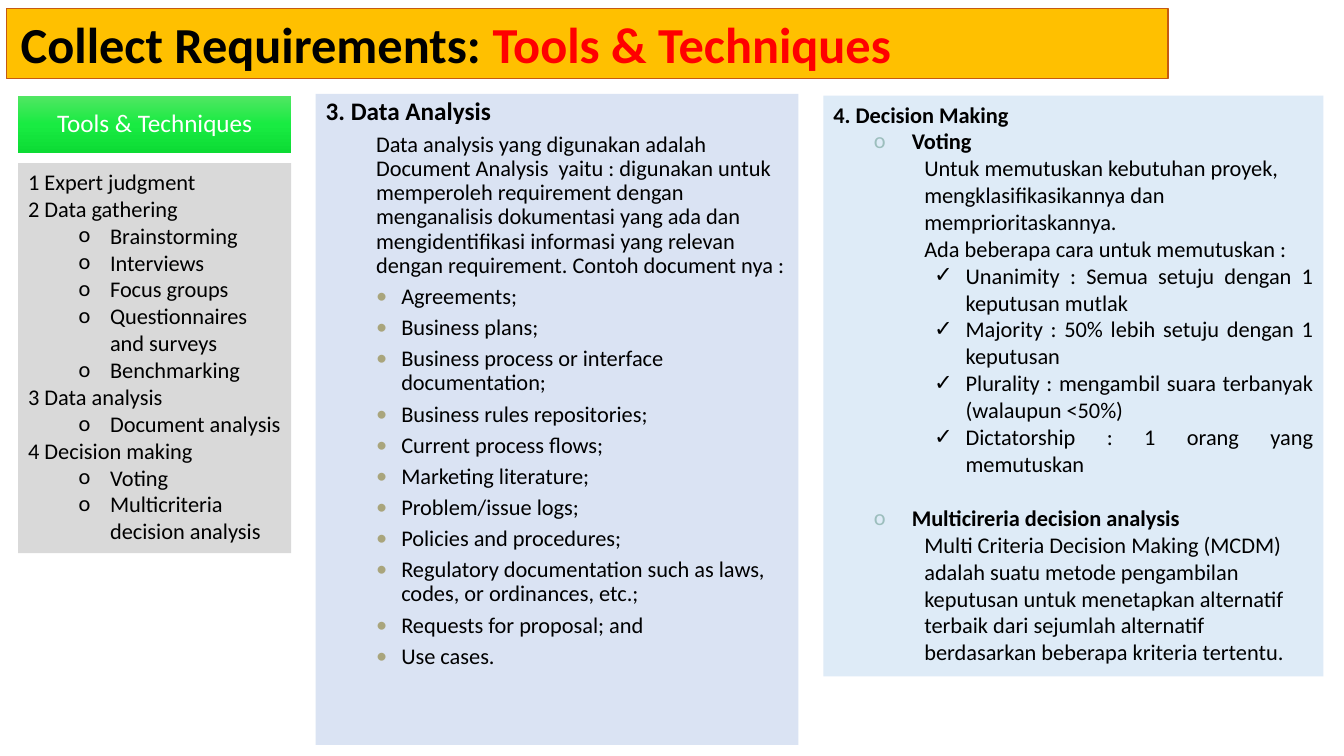
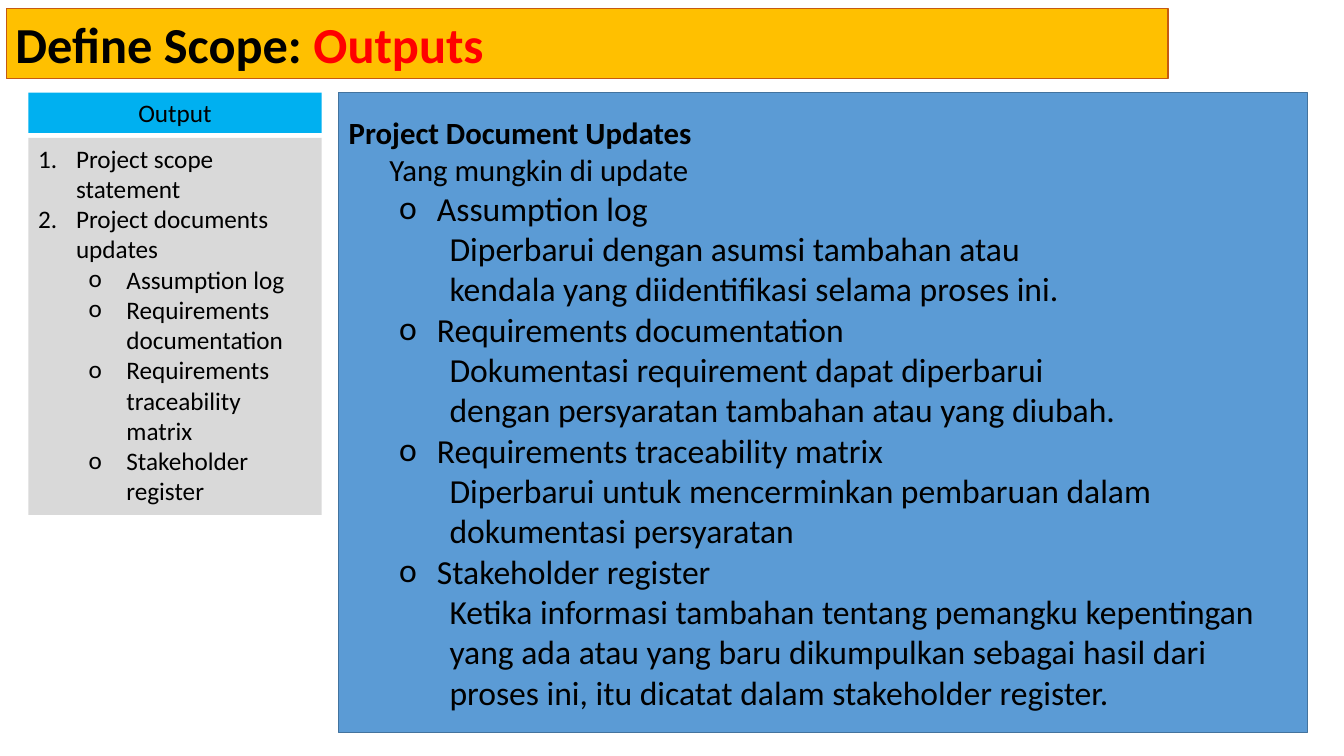
from dataclasses import asdict, dataclass, replace
from typing import Any, Optional

import copy
import lxml.etree
import pptx
import pptx.dml.color
import pptx.enum.shapes
import pptx.enum.text
import pptx.oxml.ns
import pptx.util

Align = pptx.enum.text.PP_ALIGN
Anchor = pptx.enum.text.MSO_ANCHOR


# Shared theme
@dataclass(frozen=True)
class Theme:
    font: str = "Calibri"
    black: str = "000000"
    white: str = "FFFFFF"
    accent: str = "FF0000"
    title_fill: str = "FFC000"
    title_line: str = "C55A11"
    green: tuple = ("51E663", "19EB42", "0CDB34")
    cyan: str = "00B0F0"
    gray: str = "D9D9D9"
    lavender: str = "DAE3F3"
    pale_blue: str = "DEEBF7"
    blue: str = "5B9BD5"
    blue_line: str = "43739E"
    olive_bullet: str = "A9A57C"
    teal_bullet: str = "9CBEBD"
    title_size: float = 36
    large_size: float = 24
    lead_size: float = 22
    medium_size: float = 18
    small_size: float = 16


THEME = Theme()


@dataclass(frozen=True)
class TextFormat:
    size: float = THEME.small_size
    color: str = THEME.black
    bold: bool = False
    align: Any = Align.LEFT
    level: int = 0
    left: float = 0
    hanging: float = 0
    bullet: Optional[str] = None
    bullet_color: Optional[str] = None
    before: float = 0
    spacing: float = 1


@dataclass(frozen=True)
class Line:
    text: str
    format: TextFormat


@dataclass(frozen=True)
class Panel:
    left: float
    top: float
    width: float
    height: float
    fill: Any
    lines: list[Line]
    outline: Optional[str] = None
    outline_width: float = 1
    anchor: Any = Anchor.TOP
    margin_left: float = 7.2
    placeholder: Optional[int] = None


@dataclass(frozen=True)
class SlideContent:
    topic: str
    section: str
    title_margin: float
    panels: list[Panel]


NUMBERED = "1."

# Text formats
PLAIN = TextFormat()
HEADING = replace(PLAIN, bold=True)
HEADER = TextFormat(size=THEME.medium_size, align=Align.CENTER)
SUB_ITEM = TextFormat(level=1, left=58.5, hanging=22.5, bullet="o")

DATA_HEADING = TextFormat(size=THEME.medium_size, bold=True, spacing=0.9)
DATA_TEXT = TextFormat(level=1, left=36, before=5, spacing=0.9)
DATA_ITEM = replace(DATA_TEXT, left=54, hanging=18, bullet="•", bullet_color=THEME.olive_bullet)

METHOD = TextFormat(bold=True, level=1, left=56, hanging=27, bullet="o", bullet_color=THEME.teal_bullet)
METHOD_TEXT = TextFormat(level=2, left=65)
METHOD_CHECK = TextFormat(align=Align.JUSTIFY, level=2, left=94.5, hanging=22.5, bullet="✓")

NUMBER_ITEM = TextFormat(size=THEME.medium_size, left=27, hanging=27, bullet=NUMBERED)
OUTPUT_ITEM = replace(NUMBER_ITEM, level=1, left=63, bullet="o")
UPDATE_ITEM = replace(OUTPUT_ITEM, size=THEME.large_size)
UPDATE_TEXT = TextFormat(size=THEME.large_size, level=2, left=72)
UPDATE_LEAD = TextFormat(size=THEME.lead_size, align=Align.JUSTIFY)


def rgb(color: str) -> pptx.dml.color.RGBColor:
    return pptx.dml.color.RGBColor.from_string(color)


def lines(format: TextFormat, *texts: str) -> list[Line]:
    return [Line(text, format) for text in texts]


# Slide content
SLIDES = [
    SlideContent("Collect Requirements: ", "Tools & Techniques", 10.5, [
        Panel(13, 68.4, 195, 41, THEME.green,
              lines(replace(HEADER, color=THEME.white, spacing=0.9), "Tools & Techniques"),
              anchor=Anchor.MIDDLE),
        Panel(13, 116.6, 195, 278.6, THEME.gray, [
            *lines(PLAIN, "1 Expert judgment", "2 Data gathering"),
            *lines(SUB_ITEM, "Brainstorming", "Interviews", "Focus groups",
                   "Questionnaires and surveys", "Benchmarking"),
            *lines(PLAIN, "3 Data analysis"),
            *lines(SUB_ITEM, "Document analysis"),
            *lines(PLAIN, "4 Decision making"),
            *lines(SUB_ITEM, "Voting", "Multicriteria decision analysis"),
        ]),
        Panel(225.4, 67, 344.9, 465.1, THEME.lavender, [
            *lines(DATA_HEADING, "3. Data Analysis"),
            *lines(DATA_TEXT,
                   "Data analysis yang digunakan adalah Document Analysis  yaitu : digunakan untuk "
                   "memperoleh requirement dengan menganalisis dokumentasi yang ada dan "
                   "mengidentifikasi informasi yang relevan dengan requirement. "
                   "Contoh document nya :"),
            *lines(DATA_ITEM, "Agreements;", "Business plans;",
                   "Business process or interface documentation;",
                   "Business rules repositories;", "Current process flows;",
                   "Marketing literature;", "Problem/issue logs;", "Policies and procedures;",
                   "Regulatory documentation such as laws, codes, or ordinances, etc.;",
                   "Requests for proposal; and", "Use cases."),
        ], placeholder=1),
        Panel(588.2, 68.4, 357.1, 414.7, THEME.pale_blue, [
            *lines(HEADING, "4. Decision Making"),
            *lines(METHOD, "Voting"),
            *lines(METHOD_TEXT,
                   "Untuk memutuskan kebutuhan proyek, mengklasifikasikannya dan "
                   "memprioritaskannya."),
            *lines(replace(METHOD_TEXT, align=Align.JUSTIFY),
                   "Ada beberapa cara untuk memutuskan :"),
            *lines(METHOD_CHECK,
                   "Unanimity : Semua setuju dengan 1 keputusan mutlak",
                   "Majority : 50% lebih setuju dengan 1 keputusan",
                   "Plurality : mengambil suara terbanyak (walaupun <50%)",
                   "Dictatorship : 1 orang yang memutuskan"),
            *lines(replace(METHOD, before=19.5), "Multicireria decision analysis"),
            *lines(METHOD_TEXT,
                   "Multi Criteria Decision Making (MCDM) adalah suatu metode pengambilan "
                   "keputusan untuk menetapkan alternatif terbaik dari sejumlah alternatif "
                   "berdasarkan beberapa kriteria tertentu."),
        ]),
    ]),
    SlideContent("Define Scope: ", "Outputs", 6.75, [
        Panel(241.9, 66.2, 691.9, 457.2, THEME.blue, [
            *lines(replace(UPDATE_LEAD, bold=True), "Project Document Updates"),
            *lines(replace(UPDATE_LEAD, level=1, left=29), "Yang mungkin di update"),
            *lines(UPDATE_ITEM, "Assumption log"),
            *lines(UPDATE_TEXT, "Diperbarui dengan asumsi tambahan atau",
                   "kendala yang diidentifikasi selama proses ini."),
            *lines(UPDATE_ITEM, "Requirements documentation"),
            *lines(UPDATE_TEXT, "Dokumentasi requirement dapat diperbarui",
                   "dengan persyaratan tambahan atau yang diubah."),
            *lines(UPDATE_ITEM, "Requirements traceability matrix"),
            *lines(UPDATE_TEXT,
                   "Diperbarui untuk mencerminkan pembaruan dalam dokumentasi persyaratan"),
            *lines(UPDATE_ITEM, "Stakeholder register"),
            *lines(UPDATE_TEXT,
                   "Ketika informasi tambahan tentang pemangku kepentingan yang ada atau yang "
                   "baru dikumpulkan sebagai hasil dari proses ini, itu dicatat dalam "
                   "stakeholder register."),
        ], outline=THEME.blue_line, anchor=Anchor.MIDDLE, placeholder=1),
        Panel(20.2, 66.2, 209.5, 28.8, THEME.cyan, lines(HEADER, "Output")),
        Panel(20.2, 98.6, 209.5, 269.3, THEME.gray, [
            *lines(NUMBER_ITEM, "Project scope statement", "Project documents updates"),
            *lines(OUTPUT_ITEM, "Assumption log", "Requirements documentation",
                   "Requirements traceability matrix", "Stakeholder register"),
        ]),
    ]),
]


# Drawing functions
def set_bullet(paragraph: Any, left: float, hanging: float,
               bullet: Optional[str], color: Optional[str]) -> None:
    properties = paragraph._p.get_or_add_pPr()
    properties.set("marL", str(pptx.util.Pt(left)))
    properties.set("indent", str(-pptx.util.Pt(hanging)))

    def add(parent: Any, tag: str, **attributes: str) -> Any:
        return lxml.etree.SubElement(parent, pptx.oxml.ns.qn(tag), attributes)

    if bullet is None:
        add(properties, "a:buNone")
        return
    if color:
        add(add(properties, "a:buClr"), "a:srgbClr", val=color)
    add(properties, "a:buFont", typeface=THEME.font)
    if bullet == NUMBERED:
        add(properties, "a:buAutoNum", type="arabicPeriod")
    else:
        add(properties, "a:buChar", char=bullet)


def write(text_frame: Any, text: str, *, size: float, color: str, bold: bool, align: Any,
          level: int, left: float, hanging: float, bullet: Optional[str],
          bullet_color: Optional[str], before: float, spacing: float,
          same_paragraph: bool = False) -> None:
    paragraph = text_frame.paragraphs[-1]
    if not same_paragraph:
        if paragraph.runs:
            paragraph = text_frame.add_paragraph()
        set_bullet(paragraph, left, hanging, bullet, bullet_color)
        paragraph.level = level
        paragraph.alignment = align
        paragraph.line_spacing = spacing
        paragraph.space_before = pptx.util.Pt(before)
        paragraph.space_after = pptx.util.Pt(0)
    run = paragraph.add_run()
    run.text = text
    run.font.name = THEME.font
    run.font.size = pptx.util.Pt(size)
    run.font.bold = bold
    run.font.color.rgb = rgb(color)


def fill_gradient(shape: Any, colors: tuple) -> None:
    shape.fill.gradient()
    shape.fill.gradient_angle = 270
    first = shape.fill.gradient_stops[0]._gs
    first.addnext(copy.deepcopy(first))
    stops = list(shape.fill.gradient_stops)
    for index, (stop, color) in enumerate(zip(stops, colors)):
        stop.color.rgb = rgb(color)
        stop.position = index / (len(colors) - 1)


def draw_panel(slide: Any, panel: Panel) -> Any:
    box = [pptx.util.Pt(value) for value in (panel.left, panel.top, panel.width, panel.height)]
    if panel.placeholder is None:
        shape = slide.shapes.add_shape(pptx.enum.shapes.MSO_SHAPE.RECTANGLE, *box)
        shape.shadow.inherit = False
    else:
        shape = slide.placeholders[panel.placeholder]
        shape.left, shape.top, shape.width, shape.height = box
    if isinstance(panel.fill, tuple):
        fill_gradient(shape, panel.fill)
    else:
        shape.fill.solid()
        shape.fill.fore_color.rgb = rgb(panel.fill)
    if panel.outline:
        shape.line.color.rgb = rgb(panel.outline)
        shape.line.width = pptx.util.Pt(panel.outline_width)
    else:
        shape.line.fill.background()
    text_frame = shape.text_frame
    text_frame.word_wrap = True
    text_frame.auto_size = pptx.enum.text.MSO_AUTO_SIZE.NONE
    text_frame.vertical_anchor = panel.anchor
    text_frame.margin_left = pptx.util.Pt(panel.margin_left)
    text_frame.margin_right = pptx.util.Pt(7.2)
    text_frame.margin_top = text_frame.margin_bottom = pptx.util.Pt(3.6)
    for line in panel.lines:
        write(text_frame, line.text, **asdict(line.format))
    return shape


def draw_title(slide: Any, content: SlideContent) -> None:
    title_format = TextFormat(size=THEME.title_size, bold=True)
    title = draw_panel(slide, Panel(
        4.3, 5.8, 830, 50.4, THEME.title_fill, lines(title_format, content.topic),
        outline=THEME.title_line, outline_width=0.75,
        margin_left=content.title_margin, placeholder=0))
    write(title.text_frame, content.section, same_paragraph=True,
          **asdict(replace(title_format, color=THEME.accent)))


def main() -> None:
    presentation = pptx.Presentation()
    presentation.slide_width = pptx.util.Pt(960)
    presentation.slide_height = pptx.util.Pt(540)
    for content in SLIDES:
        slide = presentation.slides.add_slide(presentation.slide_layouts[1])
        draw_title(slide, content)
        for panel in content.panels:
            draw_panel(slide, panel)
    presentation.save("out.pptx")


if __name__ == "__main__":
    main()
